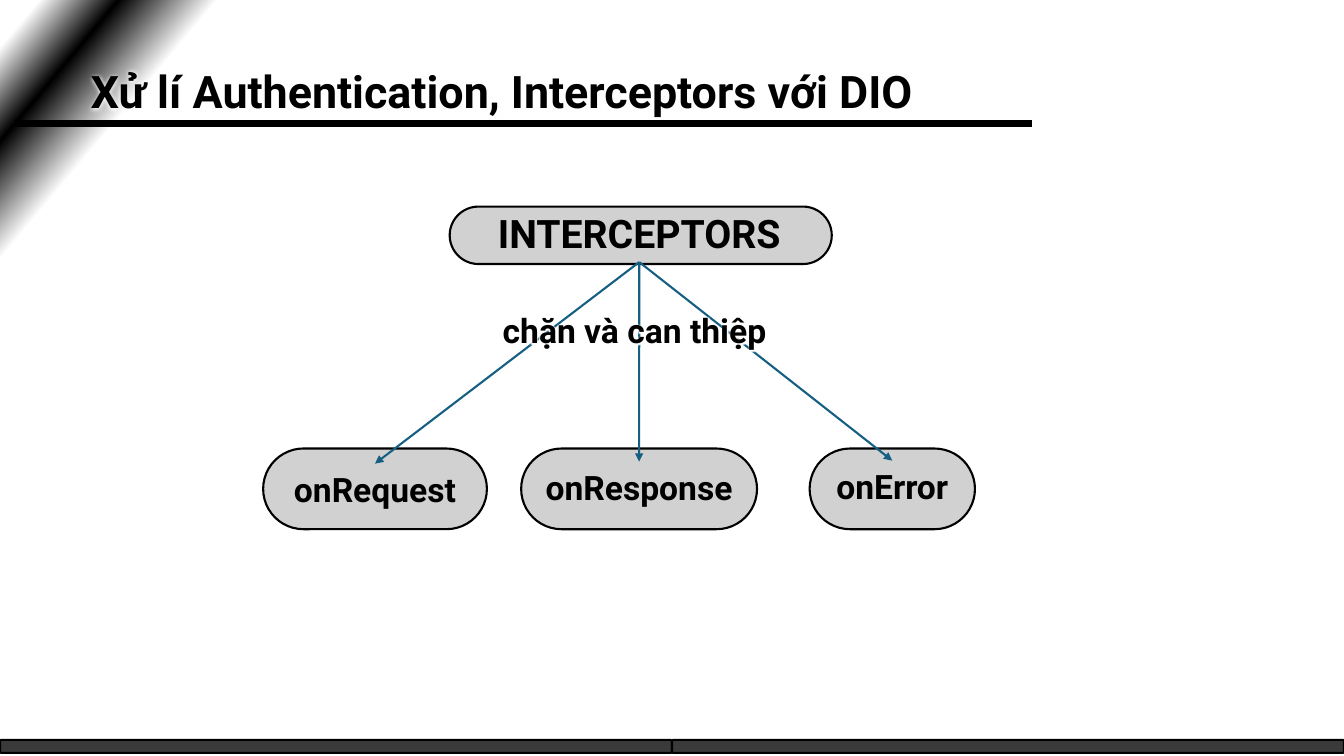
from dataclasses import dataclass

from lxml import etree
from pptx import Presentation
from pptx import util as u
from pptx.dml import color
from pptx.enum import shapes, text
from pptx.oxml import ns

COLORS = {
    "ink": "000000",
    "paper": "FFFFFF",
    "pill": "D1D1D1",
    "footer": "3A3A3A",
    "arrow": "156082",
}
FONT = "Roboto"
GRADIENT = [(2, "paper"), (6, "ink"), (11, "paper")]
GRADIENT_ANGLE = 40
GLOW_RADIUS = u.Pt(5)

prs = Presentation()
prs.slide_width, prs.slide_height = u.Inches(13.33), u.Inches(7.5)


@dataclass
class Box:
    """Left, top, width and height in percent of the slide."""
    left: float
    top: float
    width: float
    height: float

    def emu(self) -> tuple[int, int, int, int]:
        w, h = prs.slide_width / 100, prs.slide_height / 100
        return (round(self.left * w), round(self.top * h),
                round(self.width * w), round(self.height * h))


@dataclass
class Node:
    label: str
    size: int
    pill: Box
    label_box: Box


@dataclass
class Bar:
    box: Box
    rounding: float


def hook(label: str, left: float, width: float, label_box: Box) -> Node:
    return Node(label, 24, Box(left, 59.33, width, 10.67), label_box)


ROOT = Node("INTERCEPTORS", 28, Box(33.46, 27.33, 28.43, 7.6),
            Box(32.41, 27.07, 30.31, 7.6))
HOOKS = [
    hook("onRequest", 19.58, 16.65, Box(19.95, 61.33, 15.9, 6.67)),
    hook("onResponse", 38.78, 17.55, Box(38.78, 61.07, 17.55, 6.67)),
    hook("onError", 60.24, 12.3, Box(60.24, 60.93, 12.3, 6.67)),
]
BARS = [Bar(Box(0, 97.87, 50, 1.73), 0.13), Bar(Box(50, 97.87, 50, 1.73), 0.11)]
TITLE_BOX = Box(6, 7.73, 73.74, 8.53)
RULE = Box(1.13, 16.4, 75.69, 0)
CAPTION_BOX = Box(35.03, 40.4, 24.98, 6.67)


def rgb(name: str) -> color.RGBColor:
    return color.RGBColor.from_string(COLORS[name])


def add_child(parent, tag: str, **attrs):
    return etree.SubElement(parent, ns.qn(tag), {k: str(v) for k, v in attrs.items()})


def paint_background(s) -> None:
    fill = s.background.fill
    fill.gradient()
    fill.gradient_angle = 360 - GRADIENT_ANGLE
    stops = s.element.find(".//" + ns.qn("a:gsLst"))
    for stop in list(stops):
        stops.remove(stop)
    for percent, name in GRADIENT:
        stop = add_child(stops, "a:gs", pos=percent * 1000)
        add_child(stop, "a:srgbClr", val=COLORS[name])


def write(sp, words: str, size: int, align, glow: bool = False) -> None:
    tf = sp.text_frame
    tf.word_wrap = True
    tf.auto_size = text.MSO_AUTO_SIZE.SHAPE_TO_FIT_TEXT
    tf.vertical_anchor = text.MSO_ANCHOR.TOP
    p = tf.paragraphs[0]
    p.alignment = align
    r = p.add_run()
    r.text = words
    r.font.name, r.font.size, r.font.bold = FONT, u.Pt(size), True
    r.font.color.rgb = rgb("ink")
    if glow:
        effects = etree.Element(ns.qn("a:effectLst"))
        halo = add_child(effects, "a:glow", rad=int(GLOW_RADIUS))
        add_child(halo, "a:srgbClr", val=COLORS["paper"])
        r.font.fill._xPr.find(ns.qn("a:solidFill")).addnext(effects)


def add_label(s, box: Box, words: str, size: int, glow: bool = False):
    sp = s.shapes.add_textbox(*box.emu())
    write(sp, words, size, text.PP_ALIGN.CENTER, glow)
    return sp


def add_rounded(s, box: Box, fill: str, rounding: float) -> None:
    sp = s.shapes.add_shape(shapes.MSO_SHAPE.ROUNDED_RECTANGLE, *box.emu())
    sp.adjustments[0] = rounding
    sp.shadow.inherit = False
    sp.fill.solid()
    sp.fill.fore_color.rgb = rgb(fill)
    sp.line.color.rgb = rgb("ink")
    sp.line.width = u.Pt(1.5)


def add_node(s, node: Node):
    add_rounded(s, node.pill, "pill", 0.5)
    return add_label(s, node.label_box, node.label, node.size)


def add_line(s, box: Box, name: str, width: float, arrow: bool = False):
    x, y, w, h = box.emu()
    c = s.shapes.add_connector(shapes.MSO_CONNECTOR.STRAIGHT, x, y, x + w, y + h)
    c.line.color.rgb = rgb(name)
    c.line.width = u.Pt(width)
    if arrow:
        add_child(c.line._get_or_add_ln(), "a:tailEnd", type="triangle")
    add_child(c._element.spPr, "a:effectLst")
    return c


def main() -> None:
    s = prs.slides.add_slide(prs.slide_layouts[5])
    paint_background(s)

    title = s.shapes.title
    title.left, title.top, title.width, title.height = TITLE_BOX.emu()
    write(title, "Xử lí Authentication, Interceptors với DIO", 32,
          text.PP_ALIGN.LEFT, glow=True)
    add_line(s, RULE, "ink", 5)
    for bar in BARS:
        add_rounded(s, bar.box, "footer", bar.rounding)

    root = add_node(s, ROOT)
    hooks = [add_node(s, node) for node in HOOKS]
    for target in hooks:
        arrow = add_line(s, ROOT.label_box, "arrow", 1.5, arrow=True)
        arrow.begin_connect(root, 2)
        arrow.end_connect(target, 0)
    add_label(s, CAPTION_BOX, "chặn và can thiệp ", 24, glow=True)

    prs.save("out.pptx")


if __name__ == "__main__":
    main()
